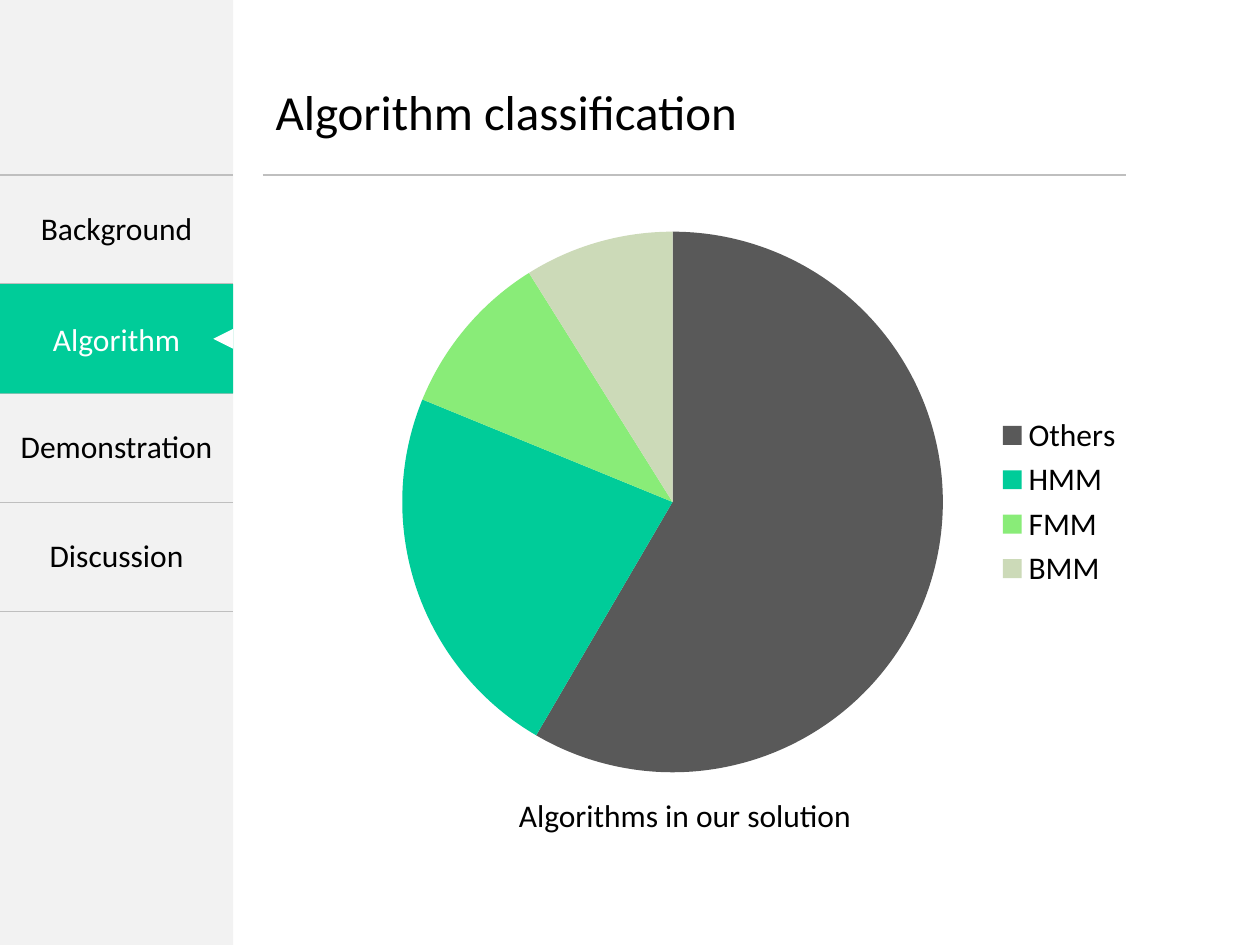
from lxml import etree
from pptx import Presentation
from pptx.chart.data import CategoryChartData
from pptx.dml.color import RGBColor
from pptx.enum import chart as charts, shapes, text
from pptx.oxml.ns import qn
from pptx.util import Cm, Pt

FONT = "Calibri"
COLORS = {
    "black": "000000",
    "white": "FFFFFF",
    "sidebar": "F2F2F2",
    "rule": "BFBFBF",
    "accent": "00CC99",
}
TITLE = "Algorithm classification"
CAPTION = "Algorithms in our solution"
SECTIONS = ["Background", "Algorithm", "Demonstration", "Discussion"]
CURRENT = "Algorithm"
SHARES = [
    ("Others", 59, "595959"),
    ("HMM", 23, "00CC99"),
    ("FMM", 10, "89EC78"),
    ("BMM", 9, "CCDAB8"),
]
SIDEBAR_WIDTH = 4.7
MENU_TOP = 3.53
ROW_HEIGHT = 2.2
MARKER_SIZE = 0.4


def rgb(name):
    return RGBColor.from_string(COLORS[name])


def write(frame, content, size=18, color="black", align=text.PP_ALIGN.CENTER):
    paragraph = frame.paragraphs[0]
    paragraph.alignment = align
    run = paragraph.add_run()
    run.text = content
    run.font.name = FONT
    run.font.size = Pt(size)
    run.font.color.rgb = rgb(color)


def add_block(slide, preset, left, top, width, height, color):
    shape = slide.shapes.add_shape(preset, Cm(left), Cm(top), Cm(width), Cm(height))
    shape.shadow.inherit = False
    shape.fill.solid()
    shape.fill.fore_color.rgb = rgb(color)
    shape.line.fill.background()
    return shape


def set_borders(cell):
    properties = cell._tc.get_or_add_tcPr()
    for index, side in enumerate(("lnL", "lnR", "lnT", "lnB")):
        border = etree.Element(qn(f"a:{side}"), w=str(Pt(1)))
        if side in ("lnT", "lnB"):
            fill = etree.SubElement(border, qn("a:solidFill"))
            etree.SubElement(fill, qn("a:srgbClr"), val=COLORS["rule"])
        else:
            etree.SubElement(border, qn("a:noFill"))
        properties.insert(index, border)


def add_menu(slide):
    table = slide.shapes.add_table(
        len(SECTIONS), 1, Cm(0), Cm(MENU_TOP),
        Cm(SIDEBAR_WIDTH), Cm(ROW_HEIGHT * len(SECTIONS)),
    ).table
    table.first_row = False
    table.horz_banding = False
    for index, section in enumerate(SECTIONS):
        cell = table.cell(index, 0)
        cell.fill.background()
        cell.vertical_anchor = text.MSO_ANCHOR.MIDDLE
        set_borders(cell)
        if section != CURRENT:
            write(cell.text_frame, section)

    top = MENU_TOP + ROW_HEIGHT * SECTIONS.index(CURRENT)
    tab = add_block(slide, shapes.MSO_SHAPE.RECTANGLE,
                    0, top, SIDEBAR_WIDTH, ROW_HEIGHT, "accent")
    tab.text_frame.vertical_anchor = text.MSO_ANCHOR.MIDDLE
    write(tab.text_frame, CURRENT, color="white")
    marker = add_block(slide, shapes.MSO_SHAPE.ISOSCELES_TRIANGLE,
                       SIDEBAR_WIDTH - MARKER_SIZE, top + (ROW_HEIGHT - MARKER_SIZE) / 2,
                       MARKER_SIZE, MARKER_SIZE, "white")
    marker.rotation = 270


def add_heading(slide):
    title = slide.shapes.title
    title.left, title.top, title.width, title.height = Cm(5.3), Cm(1.52), Cm(17.6), Cm(1.45)
    title.text_frame.vertical_anchor = text.MSO_ANCHOR.TOP
    write(title.text_frame, TITLE, 28, align=text.PP_ALIGN.LEFT)
    rule = slide.shapes.add_connector(
        shapes.MSO_CONNECTOR.STRAIGHT, Cm(5.3), Cm(MENU_TOP), Cm(22.7), Cm(MENU_TOP))
    rule.line.color.rgb = rgb("rule")
    rule.line.width = Pt(0.75)
    etree.SubElement(rule._element.spPr, qn("a:effectLst"))


def add_pie(slide):
    data = CategoryChartData()
    data.categories = [name for name, _, _ in SHARES]
    data.add_series("Series 1", [value for _, value, _ in SHARES])
    chart = slide.shapes.add_chart(
        charts.XL_CHART_TYPE.PIE, Cm(7.11), Cm(4.32), Cm(15.8), Cm(11.6), data).chart
    chart.has_title = False
    chart.font.name = FONT
    chart.font.size = Pt(18)
    chart.font.color.rgb = rgb("black")
    chart.has_legend = True
    chart.legend.position = charts.XL_LEGEND_POSITION.RIGHT
    chart.legend.include_in_layout = False
    plot = chart.plots[0]
    plot.vary_by_categories = True
    for index, (_, _, color) in enumerate(SHARES):
        fill = plot.series[0].points[index].format.fill
        fill.solid()
        fill.fore_color.rgb = RGBColor.from_string(color)


def add_caption(slide):
    caption = slide.shapes.add_textbox(Cm(10.21), Cm(15.93), Cm(7.3), Cm(1.03))
    caption.text_frame.word_wrap = False
    write(caption.text_frame, CAPTION, align=text.PP_ALIGN.LEFT)


def main():
    presentation = Presentation()
    presentation.slide_width = Cm(25.4)
    presentation.slide_height = Cm(19.05)
    slide = presentation.slides.add_slide(presentation.slide_layouts[5])
    add_block(slide, shapes.MSO_SHAPE.RECTANGLE, 0, 0, SIDEBAR_WIDTH, 19.05, "sidebar")
    add_menu(slide)
    add_heading(slide)
    add_pie(slide)
    add_caption(slide)
    presentation.save("out.pptx")


if __name__ == "__main__":
    main()
